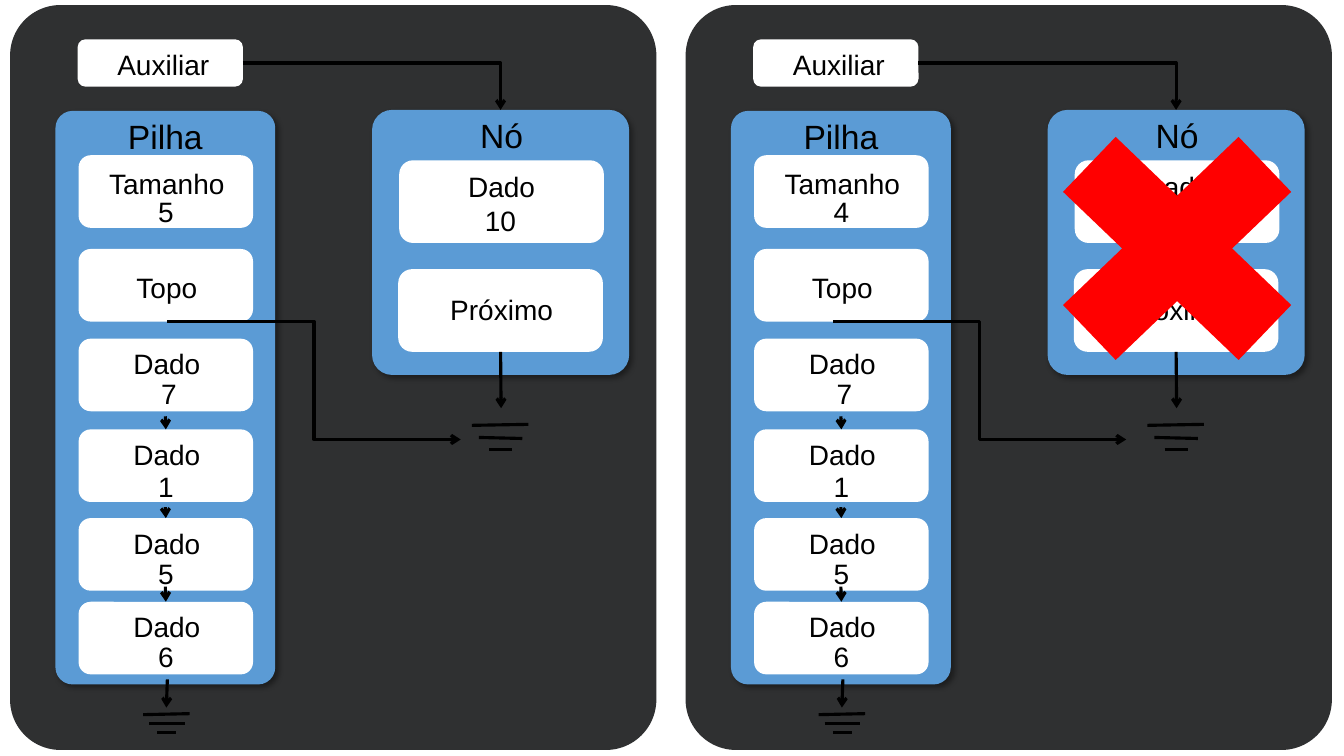
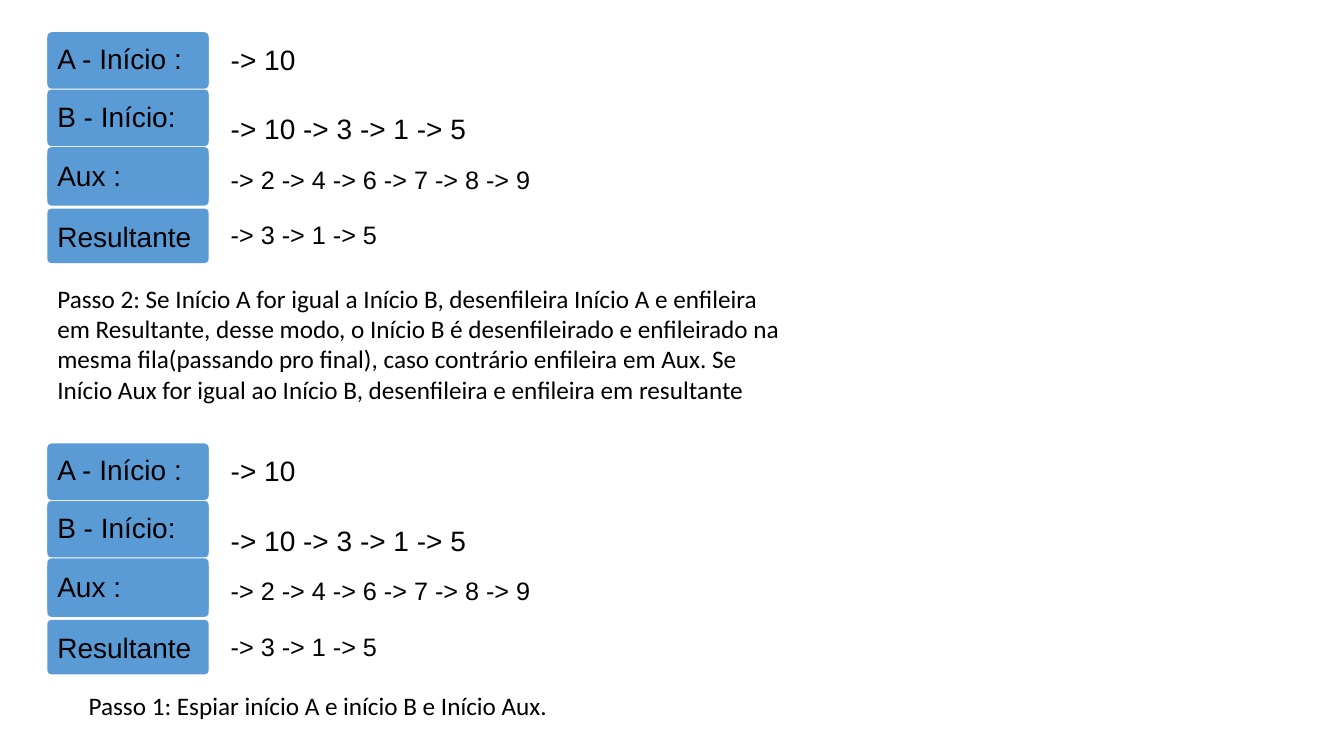
from dataclasses import dataclass
from typing import Any, NamedTuple, Optional

import lxml.etree
import pptx
import pptx.dml.color
import pptx.enum.shapes
import pptx.enum.text
import pptx.oxml.ns
import pptx.util

PX = 9144  # EMU per px, 100 px to the inch
COLORS = {
    "panel": "2F3031",
    "struct": "5B9BD5",
    "cell": "FFFFFF",
    "ink": "000000",
    "cross": "FF0000",
}
BIG_ROUNDING = 0.078
TOP, BOTTOM, RIGHT = 0, 2, 3

SHAPE = pptx.enum.shapes.MSO_SHAPE
CONNECTOR = pptx.enum.shapes.MSO_CONNECTOR
ALIGN = pptx.enum.text.PP_ALIGN
qn = pptx.oxml.ns.qn


class Cell(NamedTuple):
    """A white cell of the stack; label and value tops are measured from its top."""
    label: str
    top: int
    label_top: int
    value: str = ""
    value_top: int = 33
    value_left: int = 147


class Bar(NamedTuple):
    x1: int
    y1: int
    x2: int
    y2: int


class QueueText(NamedTuple):
    text: str
    left: int
    top: int
    width: int
    size: int = 20
    wrap: bool = True


@dataclass
class Panel:
    left: int
    stack_size: str
    node_value: Optional[str]
    topo_arrow_left: int
    crossed: bool


PANELS = [
    Panel(0, "5", "10", 166, False),
    Panel(670, "4", None, 826, True),
]
DATA_CELLS = [
    Cell("Dado", 336, 3, "7", value_left=150),
    Cell("Dado", 426, 3, "1", 35),
    Cell("Dado", 514, 3, "5"),
    Cell("Dado", 597, 3, "6"),
]
LINK_STARTS = [413, 504, 582]
STACK_GROUND = [Bar(142, 709, 188, 708), Bar(148, 718, 183, 718), Bar(156, 727, 175, 727)]
NODE_GROUND = [Bar(468, 422, 524, 421), Bar(475, 434, 518, 435), Bar(485, 446, 508, 446)]

QUEUE_TOPS = [0, 408]
QUEUE_BOX_TOPS = [207, 32, 89, 146, 34, 91, 150]
QUEUE_NAMES = [
    QueueText("Aux :", 47, 152, 107),
    QueueText("A - Início :", 47, 36, 160),
    QueueText("B - Início:", 47, 94, 160),
    QueueText("Resultante", 47, 213, 160),
]
QUEUE_CONTENTS = [
    QueueText("-> 10", 219, 37, 426),
    QueueText("-> 10 -> 3 -> 1 -> 5", 219, 106, 261),
    QueueText("-> 2 -> 4 -> 6 -> 7 -> 8 -> 9", 219, 158, 331, 18, False),
    QueueText("-> 3 -> 1 -> 5", 219, 213, 172, 18, False),
]
STEP_2 = (
    "Passo 2: Se Início A for igual a Início B, desenfileira Início A e enfileira em "
    "Resultante, desse modo, o Início B é desenfileirado e enfileirado na mesma "
    "fila(passando pro final), caso contrário enfileira em Aux. Se Início Aux for igual "
    "ao Início B, desenfileira e enfileira em resultante"
)
STEP_1 = "Passo 1: Espiar início A e início B e Início Aux."


def rgb(name: str) -> Any:
    return pptx.dml.color.RGBColor.from_string(COLORS[name])


def add_box(shapes: Any, left: int, top: int, width: int, height: int, color: str,
            rounding: Optional[float] = None, preset: Any = SHAPE.ROUNDED_RECTANGLE) -> Any:
    box = shapes.add_shape(preset, left * PX, top * PX, width * PX, height * PX)
    box.shadow.inherit = False
    box.fill.solid()
    box.fill.fore_color.rgb = rgb(color)
    box.line.fill.background()
    if rounding is not None:
        box.adjustments[0] = rounding
    return box


def add_struct(shapes: Any, left: int, top: int, width: int, height: int) -> Any:
    """Blue container with a soft shadow to the lower right."""
    struct = add_box(shapes, left, top, width, height, "struct", BIG_ROUNDING)
    effects = struct._element.spPr.find(qn("a:effectLst"))
    shadow = lxml.etree.SubElement(effects, qn("a:outerShdw"), blurRad="50800",
                                   dist="38100", dir="2700000", algn="tl",
                                   rotWithShape="0")
    tint = lxml.etree.SubElement(shadow, qn("a:srgbClr"), val=COLORS["ink"])
    lxml.etree.SubElement(tint, qn("a:alpha"), val="40000")
    return struct


def add_text(shapes: Any, text: str, left: int, top: int, width: int, size: int = 20,
             align: Any = ALIGN.LEFT, font: str = "Arial", wrap: bool = True,
             height: int = 44) -> None:
    frame = shapes.add_textbox(left * PX, top * PX, width * PX, height * PX).text_frame
    frame.word_wrap = wrap
    frame.auto_size = pptx.enum.text.MSO_AUTO_SIZE.SHAPE_TO_FIT_TEXT
    paragraph = frame.paragraphs[0]
    paragraph.text = text
    paragraph.alignment = align
    style = paragraph.runs[0].font
    style.name = font
    style.size = pptx.util.Pt(size)
    style.color.rgb = rgb("ink")


def add_line(shapes: Any, x1: int, y1: int, x2: int, y2: int, arrow: bool = True,
             kind: Any = CONNECTOR.STRAIGHT) -> Any:
    line = shapes.add_connector(kind, x1 * PX, y1 * PX, x2 * PX, y2 * PX)
    line.line.width = pptx.util.Pt(2.25)
    line.line.color.rgb = rgb("ink")
    properties = line._element.spPr
    if arrow:
        lxml.etree.SubElement(properties.find(qn("a:ln")), qn("a:tailEnd"), type="arrow")
    lxml.etree.SubElement(properties, qn("a:effectLst"))
    return line


def add_ground(shapes: Any, left: int, bars: list[Bar]) -> None:
    """Null symbol: three ever shorter bars."""
    group = shapes.add_group_shape()
    for bar in bars:
        add_line(group.shapes, left + bar.x1, bar.y1, left + bar.x2, bar.y2, arrow=False)


def add_stack(shapes: Any, left: int, size: str) -> None:
    add_struct(shapes, left + 55, 110, 218, 569)
    add_text(shapes, "Pilha", left + 114, 110, 100, 24, ALIGN.CENTER, height=50)
    cells = [Cell("Tamanho", 154, 6, size, 34), Cell("Topo", 247, 16), *DATA_CELLS]
    boxes = []
    for cell in cells:
        boxes.append(add_box(shapes, left + 78, cell.top, 173, 72, "cell"))
        add_text(shapes, cell.label, left + 92, cell.top + cell.label_top, 147,
                 align=ALIGN.CENTER)
        if cell.value:
            add_text(shapes, cell.value, left + cell.value_left,
                     cell.top + cell.value_top, 36)
    for start, box in zip(LINK_STARTS, boxes[-len(LINK_STARTS):]):
        link = add_line(shapes, left + 164, start, left + 164, start + 13)
        link.end_connect(box, TOP)
    add_line(shapes, left + 166, 674, left + 165, 702)
    add_ground(shapes, left, STACK_GROUND)


def add_node(shapes: Any, left: int, value: Optional[str]) -> Any:
    node = add_struct(shapes, left + 369, 109, 255, 263)
    add_text(shapes, "Nó", left + 439, 109, 117, 24, ALIGN.CENTER, height=50)
    add_box(shapes, left + 396, 159, 203, 82, "cell")
    add_text(shapes, "Dado", left + 427, 163, 141, align=ALIGN.CENTER)
    if value:
        add_text(shapes, value, left + 471, 197, 53)
    following = add_box(shapes, left + 395, 267, 203, 82, "cell")
    add_text(shapes, "Próximo", left + 427, 285, 141, align=ALIGN.CENTER)
    add_line(shapes, left + 497, 349, left + 497, 405).begin_connect(following, BOTTOM)
    add_ground(shapes, left, NODE_GROUND)
    return node


def add_panel(shapes: Any, panel: Panel) -> None:
    left = panel.left
    add_box(shapes, left + 10, 5, 641, 739, "panel", BIG_ROUNDING)
    auxiliary = add_box(shapes, left + 77, 39, 164, 47, "cell")
    add_text(shapes, "Auxiliar", left + 92, 42, 140, align=ALIGN.CENTER)
    add_stack(shapes, left, panel.stack_size)
    node = add_node(shapes, left, panel.node_value)

    pointer = add_line(shapes, left + 241, 63, left + 497, 109, kind=CONNECTOR.ELBOW)
    pointer.begin_connect(auxiliary, RIGHT)
    pointer.end_connect(node, TOP)
    pointer._element.spPr.find(qn("a:prstGeom")).set("prst", "bentConnector2")

    if panel.crossed:
        add_box(shapes, left + 330, 86, 335, 321, "cross", preset=SHAPE.MATH_MULTIPLY)
    add_line(shapes, panel.topo_arrow_left, 319, panel.topo_arrow_left + 291, 436,
             kind=CONNECTOR.ELBOW)


def add_queue_texts(shapes: Any, top: int, entries: list[QueueText]) -> None:
    for entry in entries:
        add_text(shapes, entry.text, entry.left, top + entry.top, entry.width,
                 entry.size, wrap=entry.wrap, height=44 if entry.size == 20 else 40)


def add_queues(shapes: Any, top: int) -> None:
    names = shapes.add_group_shape().shapes
    for box_top in QUEUE_BOX_TOPS:
        add_box(names, 47, top + box_top, 160, 54, "struct", BIG_ROUNDING)
    add_queue_texts(names, top, QUEUE_NAMES)
    add_queue_texts(shapes, top, QUEUE_CONTENTS)


def main() -> None:
    deck = pptx.Presentation()
    deck.slide_width, deck.slide_height = 1333 * PX, 750 * PX
    blank = deck.slide_layouts[6]

    stack_shapes = deck.slides.add_slide(blank).shapes
    for panel in PANELS:
        add_panel(stack_shapes, panel)

    queue_shapes = deck.slides.add_slide(blank).shapes
    for top in QUEUE_TOPS:
        add_queues(queue_shapes, top)
    add_text(queue_shapes, STEP_2, 47, 276, 751, 18, font="Calibri", height=131)
    add_text(queue_shapes, STEP_1, 78, 680, 488, 18, font="Calibri", height=40)

    deck.save("out.pptx")


if __name__ == "__main__":
    main()
